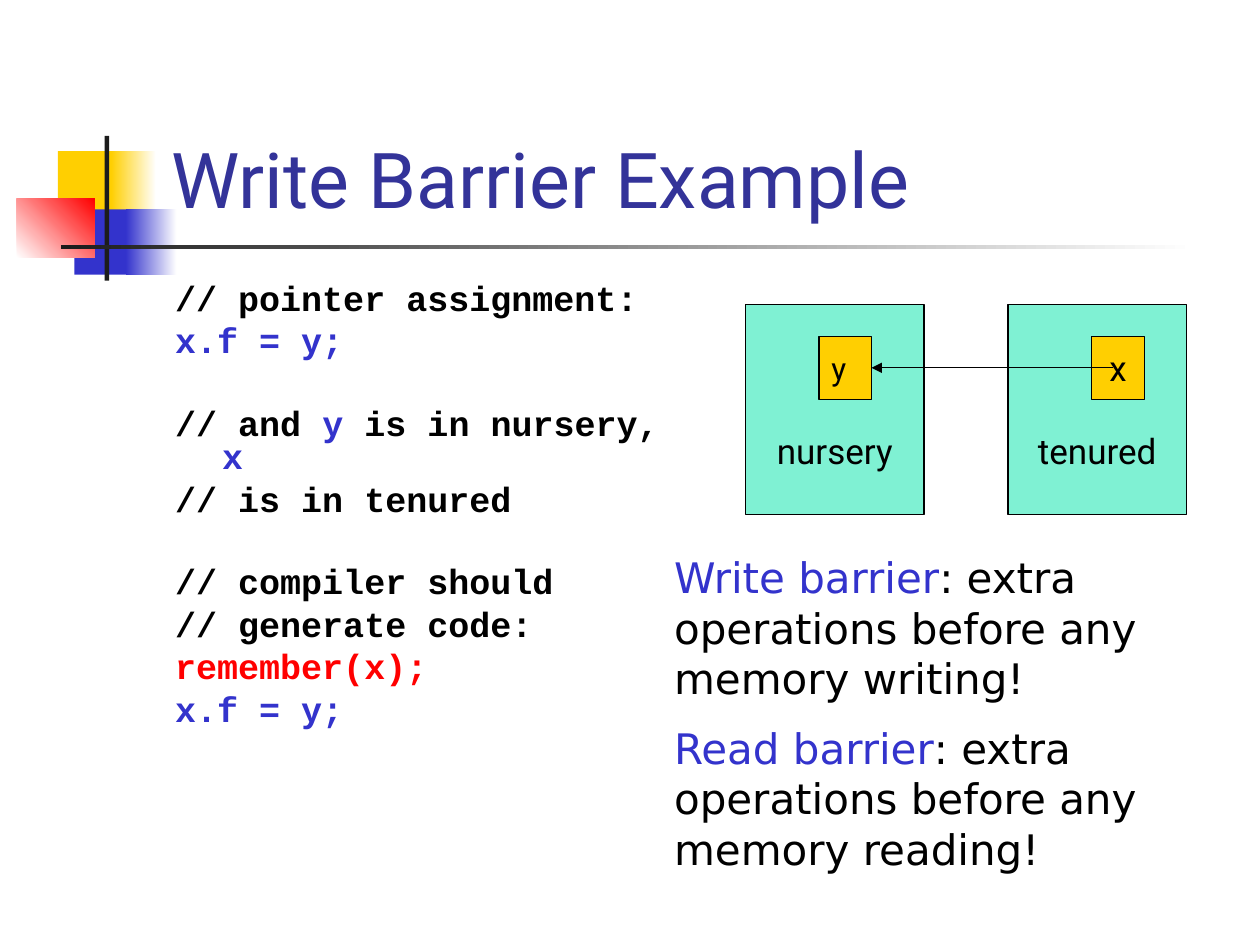
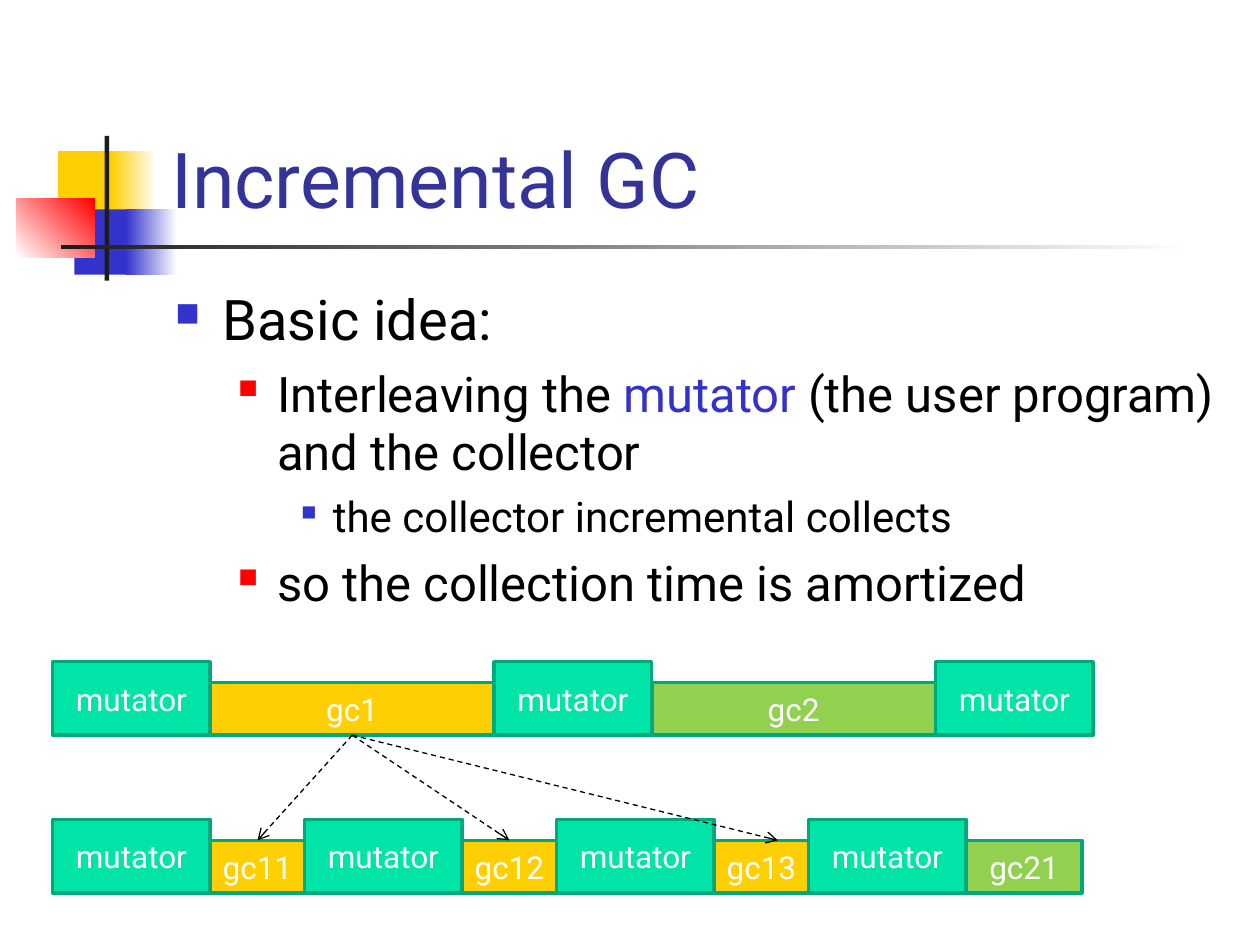
from lxml import etree
from pptx import Presentation
from pptx.dml.color import RGBColor
from pptx.enum.dml import MSO_LINE
from pptx.enum.shapes import MSO_CONNECTOR, MSO_SHAPE
from pptx.enum.text import MSO_ANCHOR as Anchor, MSO_AUTO_SIZE as AutoSize, PP_ALIGN as Align
from pptx.oxml.ns import qn
from pptx.util import Cm, Pt

# Shared palette and fonts
BLACK, WHITE, INK = "000000", "FFFFFF", "1C1C1C"
YELLOW, BLUE, RED = "FFCF01", "3333CC", "FF0000"
TEAL, TEAL_EDGE, GREEN, NAVY = "00E4A8", "00A97C", "92D050", "333399"
SANS, MONO, WIDE_SANS = "Roboto", "Courier New", "DejaVu Sans"


def color(hex_code):
    return RGBColor.from_string(hex_code)


def add_element(parent, tag, **attributes):
    element = etree.SubElement(parent, qn(tag))
    for key, value in attributes.items():
        element.set(key, str(value))
    return element


# Text helpers
def write(paragraph, runs, size, font=SANS, bold=False):
    """Fill a paragraph from (text, colour) pairs."""
    paragraph.font.size, paragraph.font.name = Pt(size), font
    paragraph.font.bold = bold
    for text, hex_code in runs:
        run = paragraph.add_run()
        run.text = text
        if len(runs) > 1:
            run.font.color.rgb = color(hex_code)
        else:
            paragraph.font.color.rgb = color(hex_code)


def indent(paragraph, left, hanging):
    properties = paragraph._p.get_or_add_pPr()
    properties.set("marL", str(Cm(left)))
    properties.set("indent", str(-Cm(hanging)))
    return properties


def next_paragraph(frame, index):
    return frame.add_paragraph() if index else frame.paragraphs[0]


def add_text_frame(slide, left, top, width, height):
    frame = slide.shapes.add_textbox(Cm(left), Cm(top), Cm(width), Cm(height)).text_frame
    frame.word_wrap = True
    return frame


# Shape helpers
def add_rect(slide, left, top, width, height, fill, edge=None, weight=0.75):
    rect = slide.shapes.add_shape(MSO_SHAPE.RECTANGLE, Cm(left), Cm(top), Cm(width), Cm(height))
    rect.shadow.inherit = False
    rect.fill.solid()
    rect.fill.fore_color.rgb = color(fill)
    if edge:
        rect.line.color.rgb = color(edge)
        rect.line.width = Pt(weight)
    else:
        rect.line.fill.background()
    return rect


def label(rect, text, size, hex_code, align=Align.CENTER):
    frame = rect.text_frame
    frame.vertical_anchor = Anchor.MIDDLE
    frame.paragraphs[0].alignment = align
    write(frame.paragraphs[0], [(text, hex_code)], size)


def fade(rect, start, end, angle=0):
    rect.fill.gradient()
    rect.fill.gradient_angle = angle
    for stop, hex_code in zip(rect.fill.gradient_stops, (start, end)):
        stop.color.rgb = color(hex_code)


def add_arrow(slide, start, end, head, dashed=False):
    arrow = slide.shapes.add_connector(MSO_CONNECTOR.STRAIGHT, *start, *end)
    arrow.line.color.rgb = color(BLACK)
    arrow.line.width = Pt(0.75)
    if dashed:
        arrow.line.dash_style = MSO_LINE.DASH
    add_element(arrow.line._get_or_add_ln(), "a:tailEnd", type=head)
    add_element(arrow.element.spPr, "a:effectLst")
    return arrow


def middle(rect):
    return rect.left + rect.width // 2


# Emblem and rule, kept on the layout behind the titles
def draw_emblem(slide, layout, left, top):
    parts = [
        (0.83, 0.31, 1.22, 1.32, YELLOW, None, 0),
        (1.9, 0.31, 0.91, 1.32, YELLOW, WHITE, 0),
        (1.16, 1.48, 1.17, 1.32, BLUE, None, 0),
        (2.2, 1.48, 1.02, 1.32, BLUE, WHITE, 0),
        (0, 1.27, 1.57, 1.18, WHITE, RED, 45),
        (1.77, 0, 0.09, 2.92, INK, None, 0),
        (0.89, 2.2, 22.86, 0.09, INK, WHITE, 0),
    ]
    first = layout.shapes[0].element
    for number, (x, y, width, height, start, end, angle) in enumerate(parts, 101):
        part = add_rect(slide, left + x, top + y, width, height, start)
        if end:
            fade(part, start, end, angle)
        part.element.nvSpPr.cNvPr.set("id", str(number))
        first.addprevious(part.element)


def add_titled_slide(deck, layout, text):
    slide = deck.slides.add_slide(layout)
    title = slide.shapes.title
    title.left, title.top, title.width, title.height = Cm(3.2), Cm(0.58), Cm(21.64), Cm(4.06)
    frame = title.text_frame
    frame.auto_size = AutoSize.NONE
    frame.vertical_anchor = Anchor.BOTTOM
    frame.paragraphs[0].alignment = Align.LEFT
    write(frame.paragraphs[0], [(text, NAVY)], 44)
    return slide


# Write barrier slide
def draw_code(slide, left, top, width, height):
    line_gap, block_gap = 5, 28
    lines = [
        (0, [("// pointer assignment:", BLACK)]),
        (line_gap, [("x.f = y;", BLUE)]),
        (block_gap, [("// and ", BLACK), ("y", BLUE), (" is in nursery, ", BLACK), ("x", BLUE)]),
        (line_gap, [("// is in tenured", BLACK)]),
        (block_gap, [("// compiler should", BLACK)]),
        (line_gap, [("// generate code:", BLACK)]),
        (line_gap, [("remember(x);", RED)]),
        (line_gap, [("x.f = y;", BLUE)]),
    ]
    frame = add_text_frame(slide, left, top, width, height)
    for index, (gap, runs) in enumerate(lines):
        paragraph = next_paragraph(frame, index)
        indent(paragraph, 0.95, 0.95)
        paragraph.line_spacing = 0.8
        paragraph.space_before = Pt(gap)
        write(paragraph, runs, 20, MONO, bold=True)


def draw_heap(slide, left, top):
    pitch = 5.29
    for index, name in enumerate(("nursery", "tenured")):
        space = add_rect(slide, left + index * pitch, top, 3.6, 4.23, TEAL, BLACK)
        tint = space.element.spPr.find(qn("a:solidFill")).find(qn("a:srgbClr"))
        add_element(tint, "a:alpha", val=50000)
        space.text_frame.margin_top = Cm(1.78)
        label(space, name, 20, BLACK)
    holder = add_rect(slide, left + pitch + 1.69, top + 0.64, 1.06, 1.27, YELLOW, BLACK)
    label(holder, "x", 20, BLACK)
    target = add_rect(slide, left + 1.48, top + 0.64, 1.06, 1.27, YELLOW, BLACK)
    label(target, "y", 18, BLACK, Align.LEFT)
    center_y = target.top + target.height // 2
    pointer = add_arrow(slide, (holder.left + Cm(0.42), center_y),
                        (target.left + target.width, center_y), "triangle")
    pointer.end_connect(target, 3)


def draw_definitions(slide, left, top, width):
    for index, action in enumerate(("Write", "Read")):
        frame = add_text_frame(slide, left, top + index * 3.44, width, 3.33)
        explanation = f": extra operations before any memory {'writing' if index == 0 else 'reading'}!"
        write(frame.paragraphs[0], [(f"{action} barrier", BLUE), (explanation, BLACK)], 24, WIDE_SANS)


# Incremental collection slide
def draw_outline(slide, left, top, width, height):
    # left indent, hanging, bullet colour, bullet percent, text size, space before
    levels = [
        (0.95, 0.95, BLUE, 60, 32, 0),
        (2.06, 0.79, RED, 55, 28, 6.5),
        (3.18, 0.64, BLUE, 50, 24, 5.5),
    ]
    points = [
        (0, [("Basic idea:", BLACK)]),
        (1, [("Interleaving the ", BLACK), ("mutator", BLUE),
             (" (the user program) and the collector", BLACK)]),
        (2, [("the collector incremental collects", BLACK)]),
        (1, [("so the collection time is amortized", BLACK)]),
    ]
    frame = add_text_frame(slide, left, top, width, height)
    for index, (level, runs) in enumerate(points):
        margin, hanging, bullet_color, percent, size, gap = levels[level]
        paragraph = next_paragraph(frame, index)
        paragraph.level = level
        properties = indent(paragraph, margin, hanging)
        add_element(add_element(properties, "a:buClr"), "a:srgbClr", val=bullet_color)
        add_element(properties, "a:buSzPct", val=percent * 1000)
        add_element(properties, "a:buChar", char="■")
        paragraph.space_before = Pt(gap)
        write(paragraph, runs, size)


def draw_timeline(slide, left, top, phases):
    """Lay phases end to end on one base line; return the collector phases by name."""
    tall, low, mutator_width = 1.48, 1.06, 3.18
    collections = {}
    for name, width, fill in phases:
        is_mutator = name == "mutator"
        width = width or mutator_width
        height = tall if is_mutator else low
        phase = add_rect(slide, left, top + tall - height, width, height, fill, TEAL_EDGE, 2)
        phase.text_frame.margin_left = phase.text_frame.margin_right = 0
        label(phase, name, 18, WHITE)
        if not is_mutator:
            collections[name] = phase
        left += width
    return collections


def draw_split(slide, left, top):
    mutator = ("mutator", None, TEAL)
    whole = draw_timeline(slide, left, top, [
        mutator, ("gc1", 5.72, YELLOW), mutator, ("gc2", 5.72, GREEN), mutator])
    pieces = draw_timeline(slide, left, top + 3.18, [
        mutator, ("gc11", 1.9, YELLOW), mutator, ("gc12", 1.9, YELLOW),
        mutator, ("gc13", 1.9, YELLOW), mutator, ("gc21", 2.33, GREEN)])
    source = whole["gc1"]
    for name, shift in (("gc11", 0), ("gc12", 0), ("gc13", 0.33)):
        piece = pieces[name]
        arrow = add_arrow(slide, (middle(source), source.top + source.height),
                          (middle(piece) + Cm(shift), piece.top), "arrow", dashed=True)
        arrow.begin_connect(source, 2)
        if not shift:
            arrow.end_connect(piece, 0)


def main():
    deck = Presentation()
    deck.slide_width, deck.slide_height = Cm(25.4), Cm(19.05)
    layout = deck.slide_layouts[5]

    barrier = add_titled_slide(deck, layout, "Write Barrier Example")
    draw_emblem(barrier, layout, 0.34, 2.74)
    draw_code(barrier, 3.28, 5.61, 11, 11.43)
    draw_heap(barrier, 15.03, 6.14)
    draw_definitions(barrier, 13.34, 11, 10.85)

    incremental = add_titled_slide(deck, layout, "Incremental GC")
    draw_outline(incremental, 3.28, 5.61, 21.6, 11.43)
    draw_split(incremental, 1.06, 13.34)

    deck.save("out.pptx")


if __name__ == "__main__":
    main()
